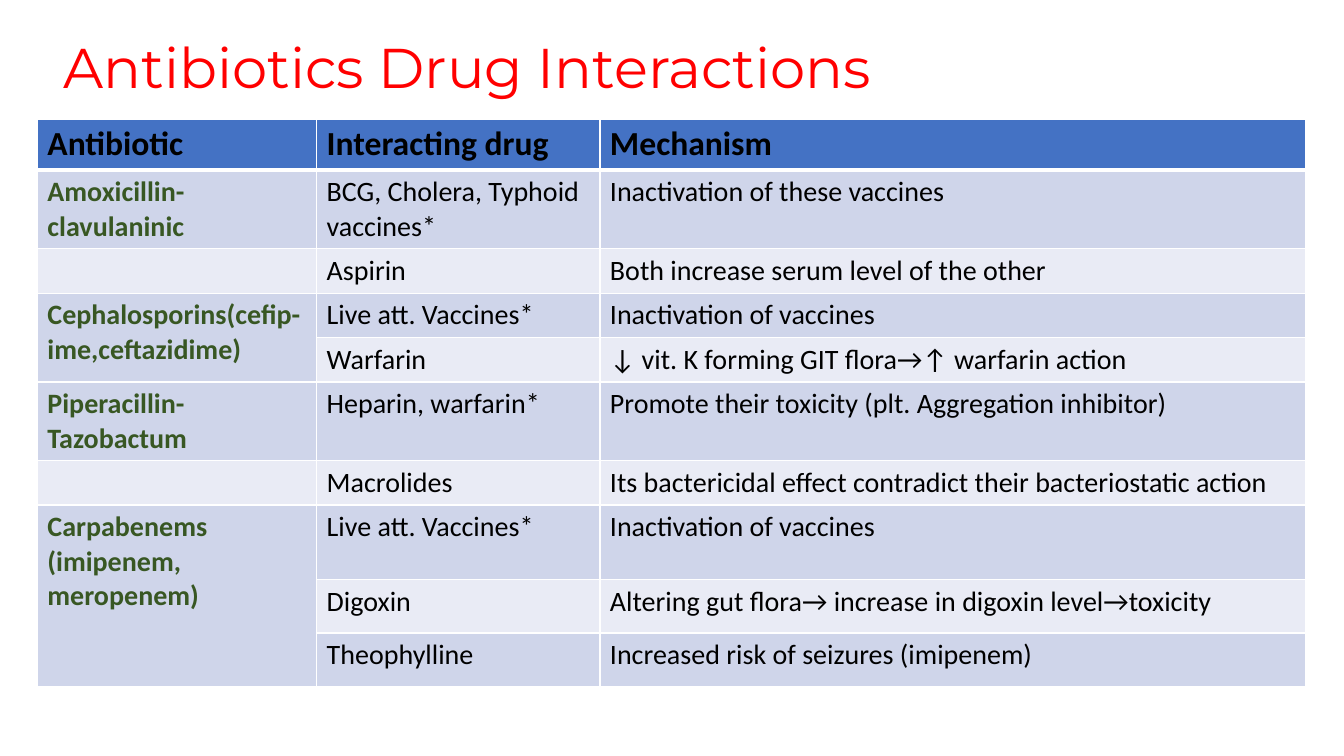
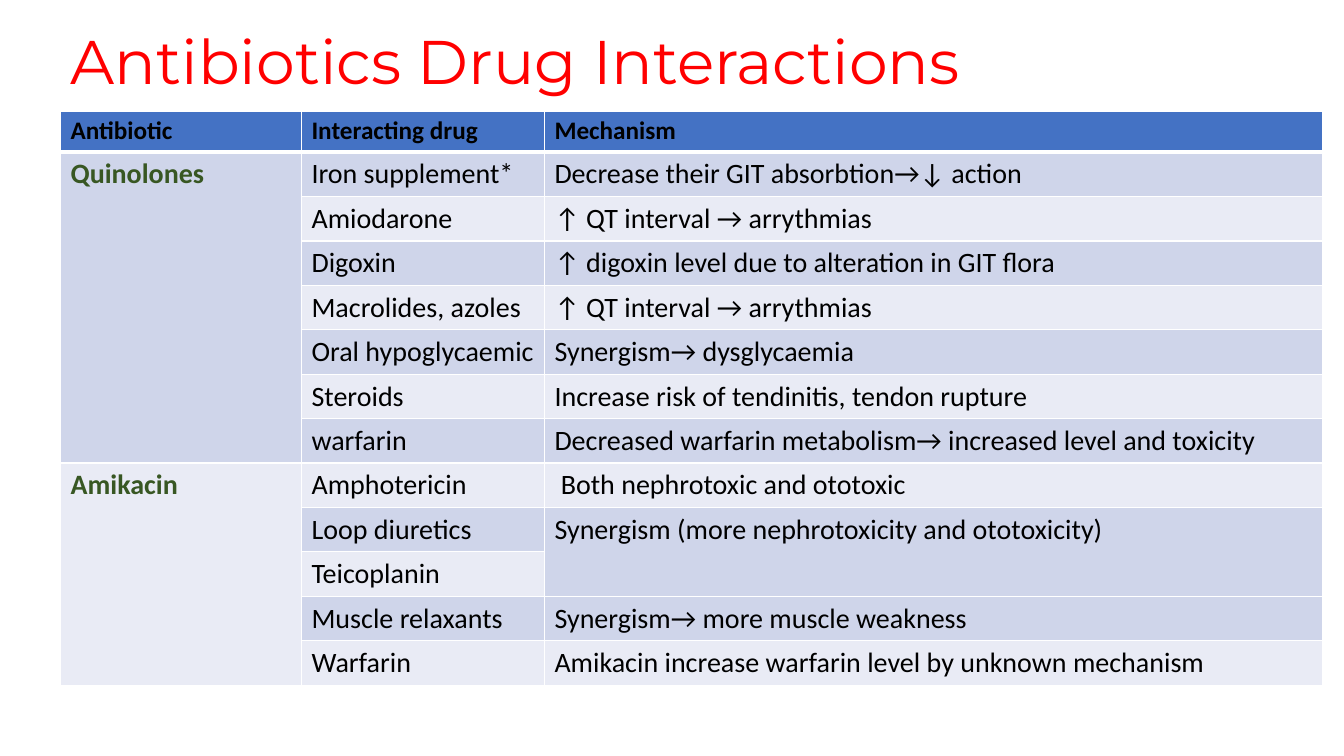
from dataclasses import dataclass
from itertools import takewhile

from lxml.etree import SubElement
from pptx import Presentation
from pptx.dml.color import RGBColor
from pptx.enum.text import MSO_ANCHOR, MSO_AUTO_SIZE, PP_ALIGN
from pptx.oxml.ns import qn
from pptx.util import Inches, Pt


@dataclass(frozen=True)
class Theme:
    title_color: str = "FF0000"
    header_fill: str = "4472C4"
    bands: tuple = ("CFD5EA", "E9EBF5")
    text: str = "000000"
    antibiotic: str = "385723"
    rule: str = "FFFFFF"
    title_font: str = "Montserrat"
    table_font: str = "Calibri"
    body_size: int = 20
    thin: int = 1
    thick: int = 3


THEME = Theme()
TITLE = "Antibiotics Drug Interactions"
HEADINGS = ("Antibiotic", "Interacting drug", "Mechanism")

PAGES = [
    {
        "title_share": (3.98, 2.93, 86.27, 12.8),
        "title_size": 40,
        "table_share": (2.78, 15.73, 94.37, 72.4),
        "heading_size": 24,
        "columns": (2.77, 2.81, 7),
        "rows": (0.43, 0.74, 0.43, 0.43, 0.43, 0.74, 0.43, 0.74, 0.53, 0.53),
        "interactions": [
            ("Amoxicillin-clavulaninic", "BCG, Cholera, Typhoid vaccines*",
             "Inactivation of these vaccines"),
            ("", "Aspirin", "Both increase serum level of the other"),
            ("Cephalosporins(cefip-ime,ceftazidime)", "Live att. Vaccines*",
             "Inactivation of vaccines"),
            (None, "Warfarin", "↓ vit. K forming GIT flora→↑ warfarin action"),
            ("Piperacillin-Tazobactum", "Heparin, warfarin*",
             "Promote their toxicity (plt. Aggregation inhibitor)"),
            ("", "Macrolides",
             "Its bactericidal effect contradict their bacteriostatic action"),
            ("Carpabenems (imipenem, meropenem)", "Live att. Vaccines*",
             "Inactivation of vaccines"),
            (None, "Digoxin",
             "Altering gut flora→ increase in digoxin level→toxicity"),
            (None, "Theophylline", "Increased risk of seizures (imipenem)"),
        ],
    },
    {
        "title_share": (4.5, 2.53, 86.27, 12.13),
        "title_size": 44,
        "table_share": (4.5, 14.67, 93.92, 71.07),
        "heading_size": 18,
        "columns": (2.39, 2.41, 7.72),
        "rows": (1,) * 13,
        "interactions": [
            ("Quinolones", "Iron supplement*",
             "Decrease their GIT absorbtion→↓ action"),
            (None, "Amiodarone", "↑ QT interval → arrythmias"),
            (None, "Digoxin", "↑ digoxin level due to alteration in GIT flora"),
            (None, "Macrolides, azoles", "↑ QT interval → arrythmias"),
            (None, "Oral hypoglycaemic", "Synergism→ dysglycaemia"),
            (None, "Steroids", "Increase risk of tendinitis, tendon rupture"),
            (None, "warfarin",
             "Decreased warfarin metabolism→ increased level and toxicity"),
            ("Amikacin", "Amphotericin", " Both nephrotoxic and ototoxic"),
            (None, "Loop diuretics",
             "Synergism (more nephrotoxicity and ototoxicity)"),
            (None, "Teicoplanin", None),
            (None, "Muscle relaxants", "Synergism→ more muscle weakness"),
            (None, "Warfarin",
             "Amikacin increase warfarin level by unknown mechanism"),
        ],
    },
]


def assign(target, values):
    for attribute, value in values.items():
        setattr(target, attribute, value)


def style_font(font, name, size, color, bold=False):
    assign(font, {"name": name, "size": Pt(size), "bold": bold})
    font.color.rgb = RGBColor.from_string(color)


def share_box(deck, shares):
    extents = (deck.slide_width, deck.slide_height) * 2
    return [round(extent * share / 100) for extent, share in zip(extents, shares)]


def place_title(slide, box, size):
    heading = slide.shapes.title
    assign(heading, dict(zip(("left", "top", "width", "height"), box)))
    frame = heading.text_frame
    frame.text = TITLE
    assign(frame, {"word_wrap": True, "auto_size": MSO_AUTO_SIZE.NONE,
                   "vertical_anchor": MSO_ANCHOR.MIDDLE})
    line = frame.paragraphs[0]
    assign(line, {"alignment": PP_ALIGN.LEFT, "line_spacing": 0.9})
    style_font(line.runs[0].font, THEME.title_font, size, THEME.title_color)


def rule_cell(cell, row):
    widths = {
        "a:lnL": THEME.thin,
        "a:lnR": THEME.thin,
        "a:lnT": THEME.thick if row == 1 else THEME.thin,
        "a:lnB": THEME.thick if row == 0 else THEME.thin,
    }
    properties = cell._tc.get_or_add_tcPr()
    for side, width in widths.items():
        edge = SubElement(properties, qn(side), w=str(Pt(width)))
        paint = SubElement(edge, qn("a:solidFill"))
        SubElement(paint, qn("a:srgbClr"), val=THEME.rule)


def fill_cell(cell, row, column, words, heading_size):
    rule_cell(cell, row)
    is_heading = row == 0
    band = THEME.header_fill if is_heading else THEME.bands[(row - 1) % 2]
    cell.fill.solid()
    cell.fill.fore_color.rgb = RGBColor.from_string(band)
    if words:
        cell.text = words
        is_antibiotic = column == 0 and not is_heading
        style_font(
            cell.text_frame.paragraphs[0].runs[0].font,
            THEME.table_font,
            heading_size if is_heading else THEME.body_size,
            THEME.antibiotic if is_antibiotic else THEME.text,
            bold=is_heading or column == 0,
        )


def place_interactions(slide, box, page):
    entries = [HEADINGS, *page["interactions"]]
    grid = slide.shapes.add_table(len(entries), len(HEADINGS), *box).table
    for column, weight in zip(grid.columns, page["columns"]):
        column.width = round(box[2] * weight / sum(page["columns"]))
    for row, weight in zip(grid.rows, page["rows"]):
        row.height = round(box[3] * weight / sum(page["rows"]))

    for row, entry in enumerate(entries):
        for column, words in enumerate(entry):
            cell = grid.cell(row, column)
            fill_cell(cell, row, column, words, page["heading_size"])
            below = [later[column] for later in entries[row + 1:]]
            covered = len(list(takewhile(lambda later: later is None, below)))
            if words is not None and covered:
                cell.merge(grid.cell(row + covered, column))


def add_interaction_slide(deck, page):
    slide = deck.slides.add_slide(deck.slide_layouts.get_by_name("Title Only"))
    place_title(slide, share_box(deck, page["title_share"]), page["title_size"])
    place_interactions(slide, share_box(deck, page["table_share"]), page)


def main():
    deck = Presentation()
    assign(deck, {"slide_width": Inches(13.33), "slide_height": Inches(7.5)})
    for page in PAGES:
        add_interaction_slide(deck, page)
    deck.save("out.pptx")


if __name__ == "__main__":
    main()
